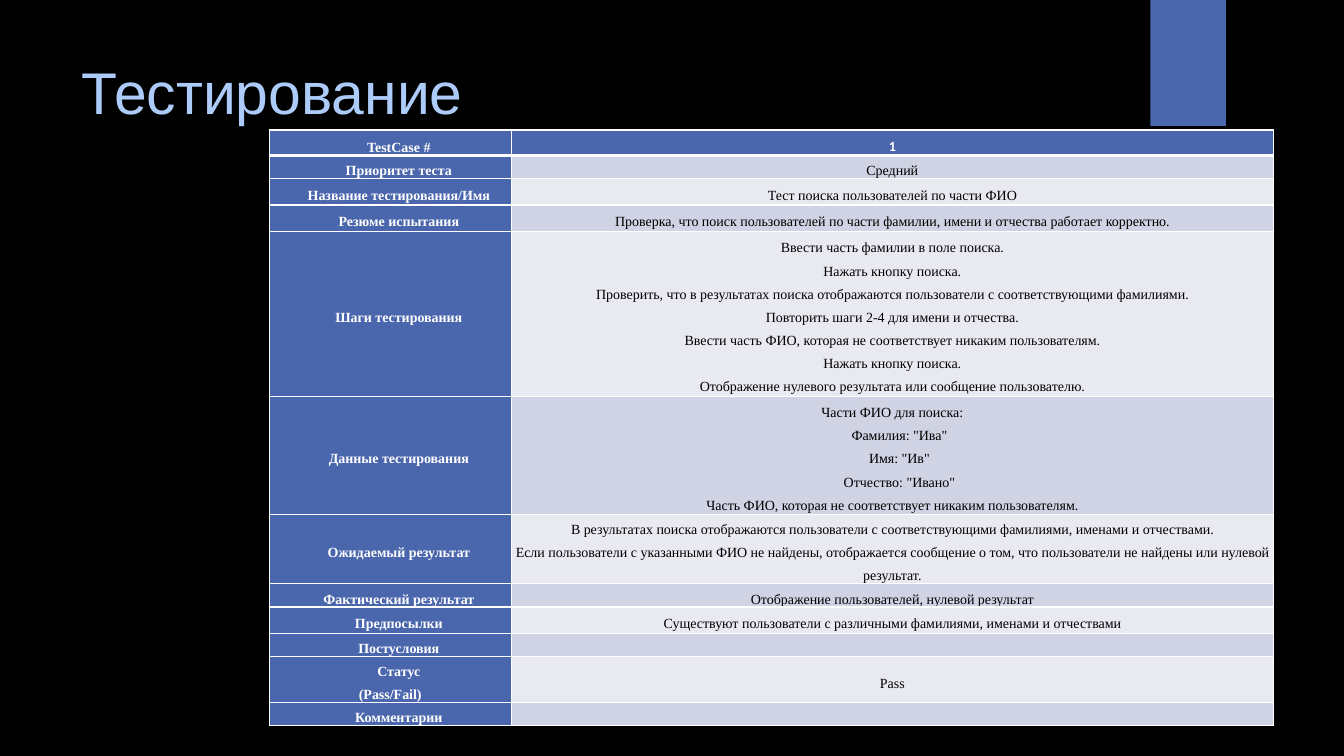
from lxml.etree import SubElement
from pptx import Presentation
from pptx.dml.color import RGBColor
from pptx.enum.shapes import MSO_SHAPE
from pptx.enum.text import MSO_ANCHOR, PP_ALIGN
from pptx.oxml import parse_xml
from pptx.oxml.ns import nsdecls, qn
from pptx.util import Inches, Pt

BLUE, WHITE, BLACK = "4A66AC", "FFFFFF", "000000"
BANDS = ["E9EAF1", "D0D3E3"]
SERIF = "Times New Roman"
INDENT = "\t"  # marks a value line that is set in from the left

# label, lines of the value, row height in inches
TEST_CASE = [
    ("TestCase #", ["1"], 0.21),
    ("Приоритет теста", ["Средний"], 0.21),
    ("Название тестирования/Имя", ["Тест поиска пользователей по части ФИО"], 0.26),
    ("Резюме испытания",
     ["Проверка, что поиск пользователей по части фамилии, имени и отчества работает корректно."], 0.26),
    ("Шаги тестирования",
     ["Ввести часть фамилии в поле поиска.",
      "Нажать кнопку поиска.",
      "Проверить, что в результатах поиска отображаются пользователи с соответствующими фамилиями.",
      "Повторить шаги 2-4 для имени и отчества.",
      "Ввести часть ФИО, которая не соответствует никаким пользователям.",
      "Нажать кнопку поиска.",
      "Отображение нулевого результата или сообщение пользователю."], 1.64),
    ("Данные тестирования",
     ["Части ФИО для поиска:",
      INDENT + 'Фамилия: "Ива"',
      INDENT + 'Имя: "Ив"',
      INDENT + 'Отчество: "Ивано"',
      "Часть ФИО, которая не соответствует никаким пользователям."], 1.17),
    ("Ожидаемый результат",
     ["В результатах поиска отображаются пользователи с соответствующими фамилиями, именами и отчествами.",
      "Если пользователи с указанными ФИО не найдены, отображается сообщение о том, "
      "что пользователи не найдены или нулевой результат."], 0.69),
    ("Фактический результат", ["Отображение пользователей, нулевой результат"], 0.21),
    ("Предпосылки", ["Существуют пользователи с различными фамилиями, именами и отчествами"], 0.26),
    ("Постусловия", [""], 0.21),
    ("Статус\v(Pass/Fail)", ["Pass"], 0.45),
    ("Комментарии", [""], 0.21),
]


def color(value):
    return RGBColor.from_string(value)


def add_borders(cell, widths):
    """Draw white cell edges; widths maps an edge letter to points."""
    properties = cell._tc.get_or_add_tcPr()
    for edge, width in widths.items():
        properties.append(parse_xml(
            f'<a:ln{edge} {nsdecls("a")} w="{Pt(width)}"><a:solidFill>'
            f'<a:srgbClr val="{WHITE}"/></a:solidFill></a:ln{edge}>'))


deck = Presentation()
deck.slide_width, deck.slide_height = Inches(13.33), Inches(7.5)
page = deck.slides.add_slide(deck.slide_layouts[6])
page.background.fill.solid()
page.background.fill.fore_color.rgb = color(BLACK)

ribbon = page.shapes.add_shape(
    MSO_SHAPE.RECTANGLE, Inches(11.41), 0, Inches(0.75), Inches(1.25))
ribbon.shadow.inherit = False
ribbon.fill.solid()
ribbon.fill.fore_color.rgb = color(BLUE)
ribbon.line.fill.background()

table = page.shapes.add_table(
    len(TEST_CASE), 2, Inches(2.67), Inches(1.29), Inches(9.96), Inches(6.05)).table
table.horz_banding = False
for column, width in zip(table.columns, (2.4, 7.56)):
    column.width = Inches(width)

for row_number, (label, lines, height) in enumerate(TEST_CASE):
    table.rows[row_number].height = Inches(height)
    header = row_number == 0
    for column_number, texts in enumerate(([label], lines)):
        is_label = column_number == 0
        strong = header or is_label
        cell = table.cell(row_number, column_number)
        cell_format = {
            "margin_left": Inches(0.03), "margin_right": Inches(0.03),
            "margin_top": 0, "margin_bottom": 0,
            "vertical_anchor": MSO_ANCHOR.BOTTOM if header and is_label else MSO_ANCHOR.MIDDLE,
        }
        for name, value in cell_format.items():
            setattr(cell, name, value)
        add_borders(cell, {"L": 1, "R": 1, "T": 3 if row_number == 1 else 1, "B": 3 if header else 1})
        cell.fill.solid()
        cell.fill.fore_color.rgb = color(BLUE if strong else BANDS[row_number % 2])

        frame = cell.text_frame
        for line_number, text in enumerate(texts):
            para = frame.add_paragraph() if line_number else frame.paragraphs[0]
            para.alignment, para.line_spacing = PP_ALIGN.CENTER, 1.5
            indents = para._p.get_or_add_pPr()
            indents.set("marL", str(Inches(0.14 if text.startswith(INDENT) else 0)))
            indents.set("indent", str(Inches(0.17 if is_label else 0)))
            if not text:
                SubElement(para._p, qn("a:endParaRPr"), sz="1000")
                continue
            for part_number, part in enumerate(text.strip(INDENT).split("\v")):
                if part_number:
                    para.add_line_break()
                span = para.add_run()
                span.text = part
                span_format = {
                    "size": Pt(10), "bold": strong,
                    "name": "Calibri" if header and not is_label else SERIF,
                }
                for name, value in span_format.items():
                    setattr(span.font, name, value)
                span.font.color.rgb = color(WHITE if strong else BLACK)

title = page.shapes.add_textbox(Inches(0.71), Inches(0.5), Inches(10.29), Inches(1.53))
title.text_frame.word_wrap = True
span = title.text_frame.paragraphs[0].add_run()
span.text = "Тестирование"
span.font.name, span.font.size = "Arial", Pt(42)
span.font.color.rgb = color("ACCBF9")

deck.save("out.pptx")
